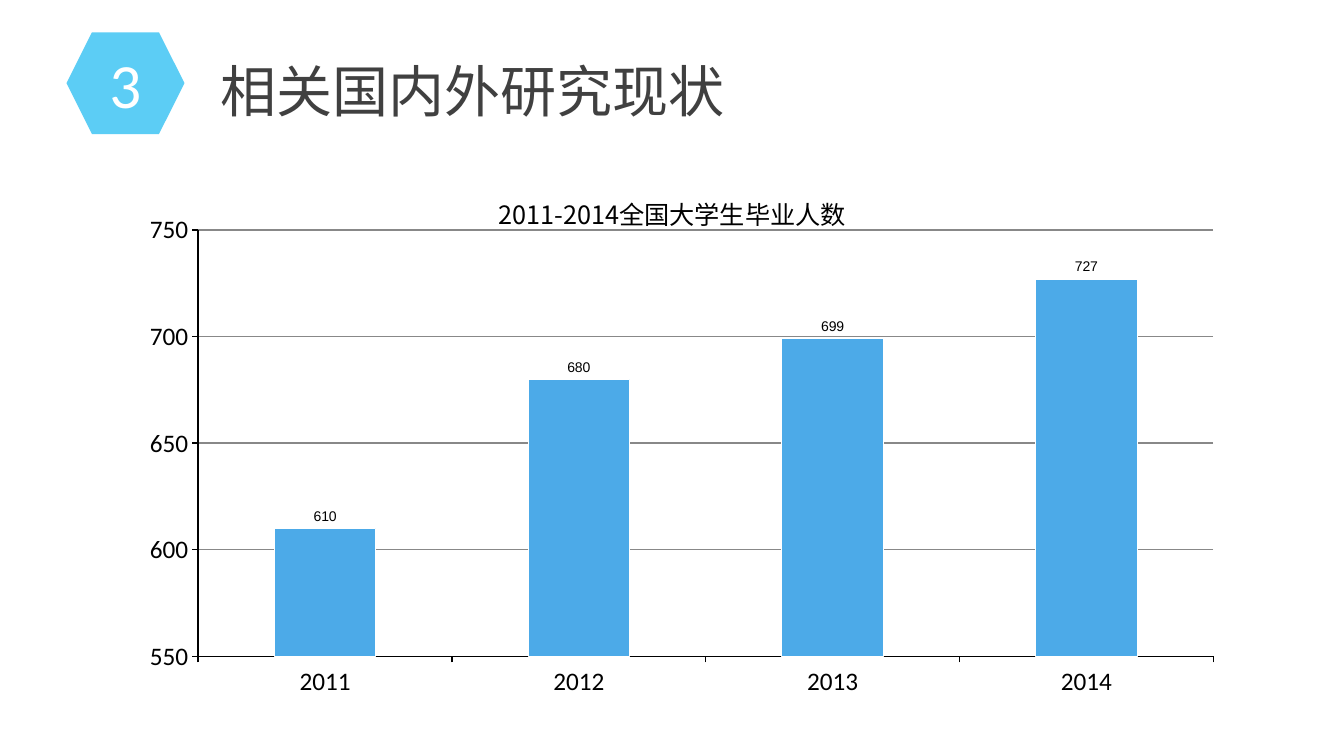
from dataclasses import dataclass

import lxml.etree
import pptx
import pptx.chart.data
import pptx.dml.color
import pptx.enum.chart
import pptx.enum.shapes
import pptx.enum.text
import pptx.oxml
import pptx.oxml.ns
import pptx.util
from pptx.util import Inches

SECTION_NUMBER = "3"
TITLE = "相关国内外研究现状"
CHART_TITLE = "2011-2014全国大学生毕业人数"
GRADUATES = {"2011": 610, "2012": 680, "2013": 699, "2014": 727}
PLOT_AREA = {"x": 0.062, "y": 0.109, "w": 0.938, "h": 0.794}


@dataclass(frozen=True)
class Theme:
    badge: str = "5CCDF5"
    bar: str = "4CAAE8"
    white: str = "FFFFFF"
    title: str = "404040"
    black: str = "000000"
    grid: str = "888888"
    chinese_font: str = "Noto Sans CJK SC"
    latin_font: str = "Calibri"
    label_font: str = "Arial"
    number_size: int = 45
    title_size: int = 40
    chart_size: int = 18
    label_size: int = 10


THEME = Theme()


def color(value):
    return pptx.dml.color.RGBColor.from_string(value)


def style_font(font, name, size, value):
    font.name = name
    font.size = pptx.util.Pt(size)
    font.bold = False
    font.color.rgb = color(value)


def style_line(line, value, width):
    line.color.rgb = color(value)
    line.width = pptx.util.Pt(width)


def set_east_asian_font(paragraph, name):
    for run in paragraph.runs:
        properties = run.font._element if hasattr(run.font, "_element") else run._r.get_or_add_rPr()
        east_asian = lxml.etree.SubElement(properties, pptx.oxml.ns.qn("a:ea"))
        east_asian.set("typeface", name)


def set_margins(frame, margin):
    frame.margin_left = frame.margin_right = Inches(margin)
    frame.margin_top = frame.margin_bottom = Inches(margin)


def add_badge(slide):
    badge = slide.shapes.add_shape(
        pptx.enum.shapes.MSO_SHAPE.HEXAGON,
        Inches(0.66), Inches(0.32), Inches(1.17), Inches(1.01))
    badge.shadow.inherit = False
    badge.fill.solid()
    badge.fill.fore_color.rgb = color(THEME.badge)
    badge.line.fill.background()
    frame = badge.text_frame
    set_margins(frame, 0)
    frame.word_wrap = False
    frame.vertical_anchor = pptx.enum.text.MSO_ANCHOR.MIDDLE
    frame.text = SECTION_NUMBER
    paragraph = frame.paragraphs[0]
    paragraph.alignment = pptx.enum.text.PP_ALIGN.CENTER
    style_font(paragraph.font, THEME.latin_font, THEME.number_size, THEME.white)


def add_title(slide):
    title = slide.shapes.title
    title.left, title.top = Inches(2.14), Inches(0.51)
    title.width, title.height = Inches(5.23), Inches(0.77)
    frame = title.text_frame
    frame.text = TITLE
    set_margins(frame, 0.05)
    frame.auto_size = pptx.enum.text.MSO_AUTO_SIZE.NONE
    frame.vertical_anchor = pptx.enum.text.MSO_ANCHOR.TOP
    paragraph = frame.paragraphs[0]
    paragraph.alignment = pptx.enum.text.PP_ALIGN.LEFT
    style_font(paragraph.font, THEME.chinese_font, THEME.title_size, THEME.title)
    set_east_asian_font(paragraph, THEME.chinese_font)


def place_plot(chart):
    plot_area = chart._chartSpace.chart.plotArea
    for layout in plot_area.findall(pptx.oxml.ns.qn("c:layout")):
        plot_area.remove(layout)
    settings = {"layoutTarget": "inner", "xMode": "edge", "yMode": "edge", **PLOT_AREA}
    children = "".join(f'<c:{name} val="{value}"/>' for name, value in settings.items())
    plot_area.insert(0, pptx.oxml.parse_xml(
        f'<c:layout {pptx.oxml.ns.nsdecls("c")}>'
        f"<c:manualLayout>{children}</c:manualLayout></c:layout>"))


def add_graduates_chart(slide):
    data = pptx.chart.data.CategoryChartData()
    data.categories = list(GRADUATES)
    data.add_series("Series 1", list(GRADUATES.values()))
    chart = slide.shapes.add_chart(
        pptx.enum.chart.XL_CHART_TYPE.COLUMN_CLUSTERED,
        Inches(1.3), Inches(1.7), Inches(10.74), Inches(5.33), data).chart
    style_font(chart.font, THEME.label_font, THEME.label_size, THEME.black)
    chart.has_legend = False

    chart.has_title = True
    chart.chart_title.text_frame.text = CHART_TITLE
    paragraph = chart.chart_title.text_frame.paragraphs[0]
    style_font(paragraph.font, THEME.chinese_font, THEME.chart_size, THEME.black)
    set_east_asian_font(paragraph, THEME.chinese_font)

    for axis in (chart.category_axis, chart.value_axis):
        axis.major_tick_mark = pptx.enum.chart.XL_TICK_MARK.OUTSIDE
        axis.minor_tick_mark = pptx.enum.chart.XL_TICK_MARK.NONE
        style_font(axis.tick_labels.font, THEME.latin_font, THEME.chart_size, THEME.black)
        style_line(axis.format.line, THEME.black, 1)
    chart.category_axis.tick_label_position = pptx.enum.chart.XL_TICK_LABEL_POSITION.LOW
    value_axis = chart.value_axis
    value_axis.minimum_scale, value_axis.maximum_scale = 550, 750
    value_axis.major_unit = 50
    value_axis.has_major_gridlines = True
    style_line(value_axis.major_gridlines.format.line, THEME.grid, 1)

    plot = chart.plots[0]
    plot.gap_width = 150
    plot.vary_by_categories = False
    bars = plot.series[0]
    bars.format.fill.solid()
    bars.format.fill.fore_color.rgb = color(THEME.bar)
    style_line(bars.format.line, THEME.white, 0.5)
    labels = bars.data_labels
    labels.show_value = True
    labels.position = pptx.enum.chart.XL_LABEL_POSITION.OUTSIDE_END
    style_font(labels.font, THEME.label_font, THEME.label_size, THEME.black)
    place_plot(chart)


def main():
    presentation = pptx.Presentation()
    presentation.slide_width = Inches(13.33)
    presentation.slide_height = Inches(7.5)
    slide = presentation.slides.add_slide(presentation.slide_layouts[5])
    add_badge(slide)
    add_title(slide)
    add_graduates_chart(slide)
    presentation.save("out.pptx")


if __name__ == "__main__":
    main()
